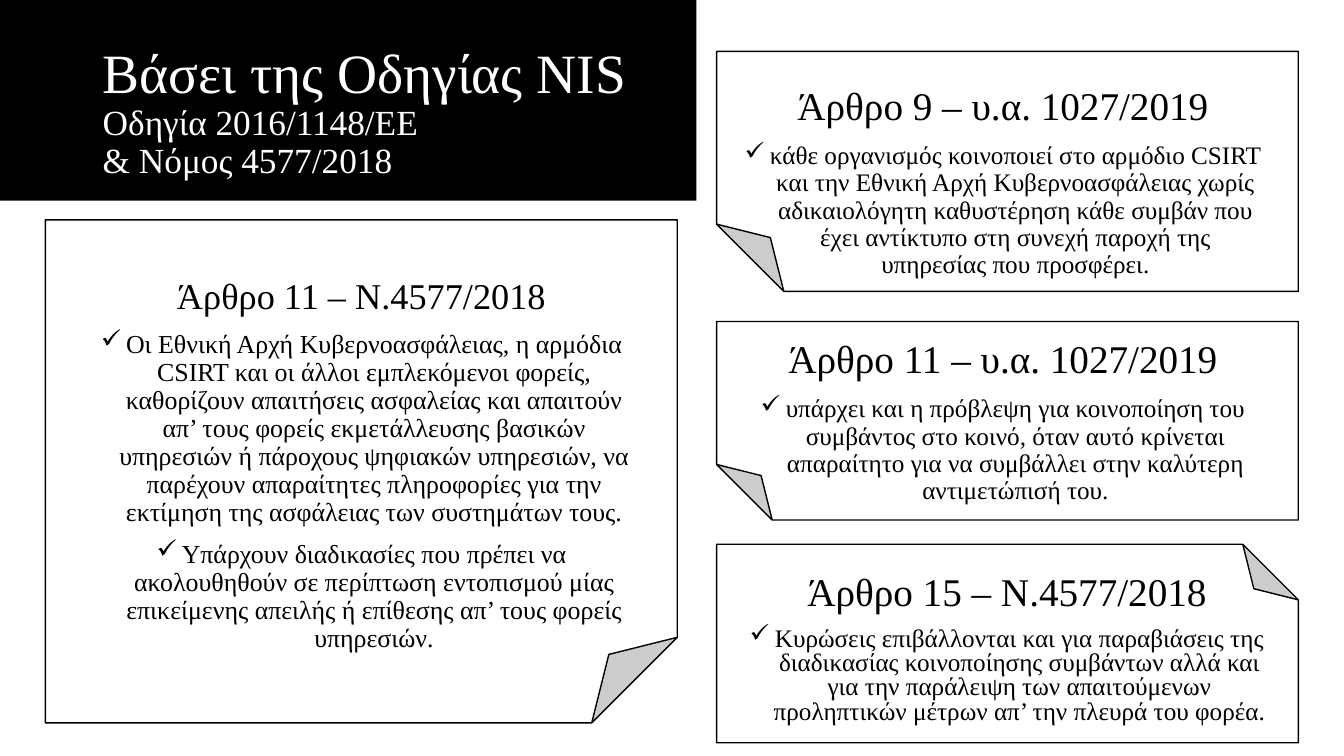
from dataclasses import dataclass

from lxml.etree import SubElement
from pptx import Presentation
from pptx.dml.color import RGBColor
from pptx.enum.shapes import MSO_SHAPE
from pptx.enum.text import MSO_ANCHOR, PP_ALIGN
from pptx.oxml.ns import qn
from pptx.util import Pt


@dataclass(frozen=True)
class Theme:
    """Colours, font and type sizes of the slide."""
    black: RGBColor = RGBColor(0, 0, 0)
    white: RGBColor = RGBColor(255, 255, 255)
    font: str = "Times New Roman"
    title: float = 39.6
    sub: float = 25.2
    head: float = 28
    body: float = 18
    left_head: float = 25.9
    left_body: float = 18.5


THEME = Theme()


def style(para, size, color, align, lines):
    """Set the font, alignment and line spacing of a paragraph."""
    para.font.name = THEME.font
    para.font.size = Pt(size)
    para.font.color.rgb = color
    para.alignment = align
    para.line_spacing = lines


def tick(para):
    """Give a paragraph a hanging check mark."""
    props = para._p.get_or_add_pPr()
    props.set("marL", str(Pt(18)))
    props.set("indent", str(-Pt(18)))
    mark = SubElement(props, qn("a:buChar"))
    mark.set("char", "✓")
    props.find(qn("a:defRPr")).addprevious(mark)


def crease(shape, fold):
    """Set how much of the sheet its corner folds over."""
    values = shape.element.spPr.find(qn("a:prstGeom")).find(qn("a:avLst"))
    guide = SubElement(values, qn("a:gd"))
    guide.set("name", "adj")
    guide.set("fmla", f"val {round(fold * 100000)}")


def panel(slide, kind, box, fill):
    """Draw a plain filled shape in the box."""
    shape = slide.shapes.add_shape(kind, *map(Pt, box))
    shape.shadow.inherit = False
    shape.fill.solid()
    shape.fill.fore_color.rgb = fill
    return shape


def banner(slide, box, name, laws):
    """Place the black banner and the title over it."""
    x, y, w, h = box
    block = panel(slide, MSO_SHAPE.RECTANGLE, box, THEME.black)
    block.line.fill.background()
    title = slide.shapes.title
    title.element.addprevious(block.element)
    title.left, title.top = Pt(x + 66.2), Pt(y + 28.8)
    title.width, title.height = Pt(828), Pt(104.4)
    frame = title.text_frame
    frame.word_wrap = True
    frame.vertical_anchor = MSO_ANCHOR.MIDDLE
    para = frame.paragraphs[0]
    style(para, THEME.sub, THEME.white, PP_ALIGN.LEFT, 0.9)
    first = para.add_run()
    first.text = name
    first.font.size = Pt(THEME.title)
    for law in laws:
        para.add_line_break()
        para.add_run().text = law


def card(slide, box, area, head, items, flip=None, fold=0.28,
         sizes=(THEME.head, THEME.body), lines=0.9):
    """Place a folded sheet with a heading and ticked items."""
    x, y, w, h = box
    dx, dy, width, height = area
    sheet = panel(slide, MSO_SHAPE.FOLDED_CORNER, box, THEME.white)
    crease(sheet, fold)
    sheet.line.color.rgb = THEME.black
    sheet.line.width = Pt(1)
    if flip:
        sheet.element.spPr.xfrm.set(flip, "1")
    text = slide.shapes.add_textbox(
        Pt(x + dx), Pt(y + dy), Pt(width), Pt(height))
    frame = text.text_frame
    frame.word_wrap = True
    for i, words in enumerate([head, *items]):
        para = frame.add_paragraph() if i else frame.paragraphs[0]
        para.text = words
        style(para, sizes[min(i, 1)], THEME.black, PP_ALIGN.CENTER, lines)
        para.space_before = Pt(10)
        if i:
            tick(para)


def build():
    """Build the slide and save it."""
    deck = Presentation()
    deck.slide_width, deck.slide_height = Pt(960), Pt(540)
    slide = deck.slides.add_slide(deck.slide_layouts[5])
    banner(slide, (0, 0, 497.5, 143.3), "Βάσει της Οδηγίας NIS ",
           ["Οδηγία 2016/1148/ΕΕ", "& Νόμος 4577/2018 "])
    x, w = 511.9, 415.5
    card(slide, (x, 388.8, w, 141.8), (15.1, 19.4, 384.5, 125.3),
         "Άρθρο 15 – Ν.4577/2018",
         ["Κυρώσεις επιβάλλονται και για παραβιάσεις της διαδικασίας "
          "κοινοποίησης συμβάντων αλλά και για την παράλειψη των "
          "απαιτούμενων προληπτικών μέτρων απ’ την πλευρά του φορέα."],
         flip="flipV", lines=0.8)
    card(slide, (x, 229.7, w, 141.8), (12.2, 9.4, 384.5, 149.8),
         "Άρθρο 11 – υ.α. 1027/2019",
         ["υπάρχει και η πρόβλεψη για κοινοποίηση του συμβάντος στο κοινό, "
          "όταν αυτό κρίνεται απαραίτητο για να συμβάλλει στην καλύτερη "
          "αντιμετώπισή του."], flip="flipH")
    card(slide, (x, 36.7, w, 171.4), (12.2, 21.6, 384.5, 149.8),
         "Άρθρο 9 – υ.α. 1027/2019",
         ["κάθε οργανισμός κοινοποιεί στο αρμόδιο CSIRT και την Εθνική Αρχή "
          "Κυβερνοασφάλειας χωρίς αδικαιολόγητη καθυστέρηση κάθε συμβάν που "
          "έχει αντίκτυπο στη συνεχή παροχή της υπηρεσίας που προσφέρει."],
         flip="flipH")
    card(slide, (32.4, 157, 451.4, 359.3), (18.7, 38.1, 414, 283),
         "Άρθρο 11 – Ν.4577/2018",
         ["Οι Εθνική Αρχή Κυβερνοασφάλειας, η αρμόδια CSIRT και οι άλλοι "
          "εμπλεκόμενοι φορείς, καθορίζουν απαιτήσεις ασφαλείας και απαιτούν "
          "απ’ τους φορείς εκμετάλλευσης βασικών υπηρεσιών ή πάροχους "
          "ψηφιακών υπηρεσιών, να παρέχουν απαραίτητες πληροφορίες για την "
          "εκτίμηση της ασφάλειας των συστημάτων τους.",
          "Υπάρχουν διαδικασίες που πρέπει να ακολουθηθούν σε περίπτωση "
          "εντοπισμού μίας επικείμενης απειλής ή επίθεσης απ’ τους φορείς "
          "υπηρεσιών."],
         fold=0.17, sizes=(THEME.left_head, THEME.left_body))
    deck.save("out.pptx")


build()
